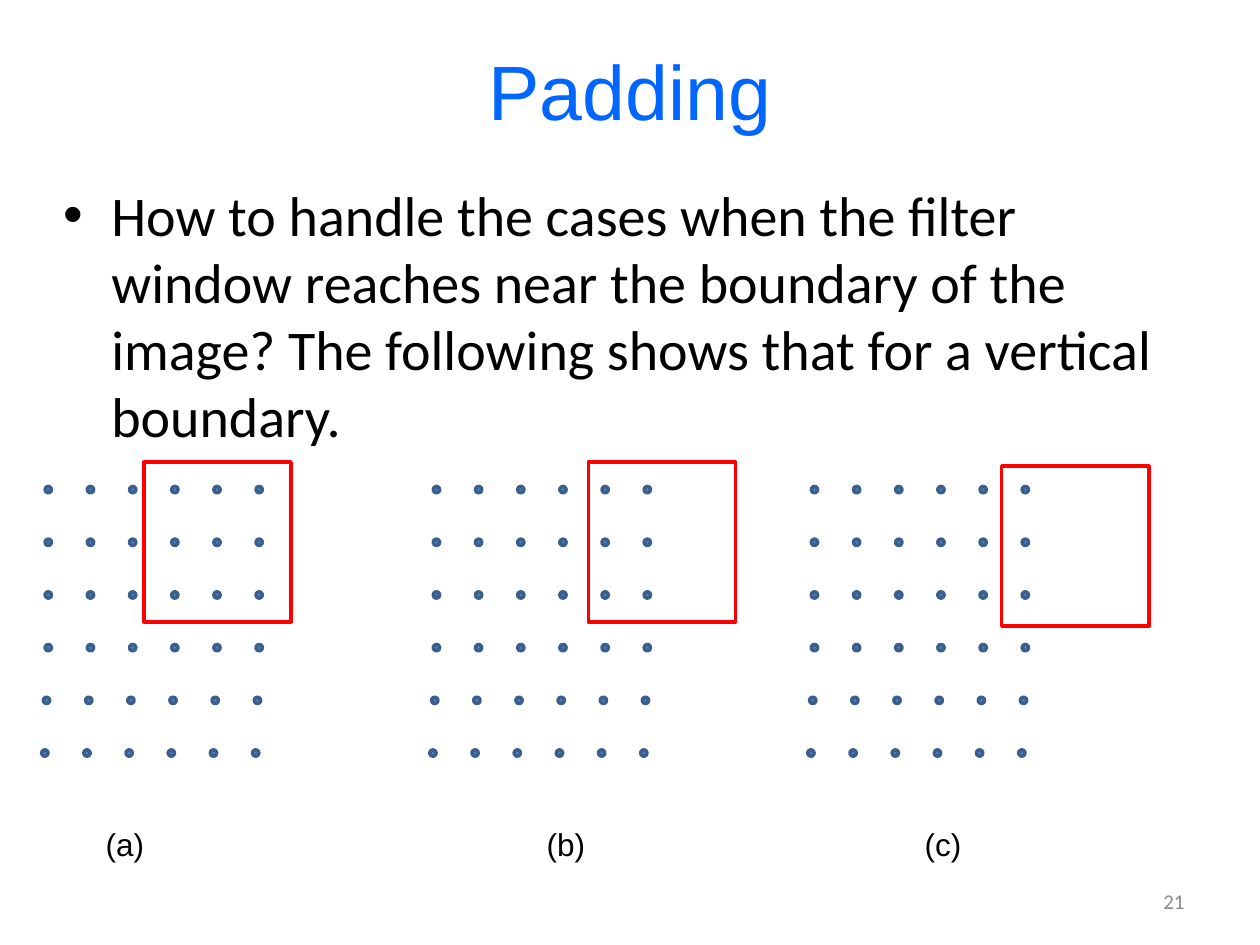
"""Build the slide on padding at a vertical image boundary."""
from lxml.etree import SubElement
from pptx import Presentation
from pptx.dml.color import RGBColor
from pptx.enum.shapes import MSO_SHAPE as Shape
from pptx.enum.text import MSO_ANCHOR as Anchor, MSO_AUTO_SIZE as AutoSize, PP_ALIGN as Align
from pptx.oxml.ns import qn
from pptx.util import Pt

BLACK = RGBColor(0x00, 0x00, 0x00)
TITLE_BLUE = RGBColor(0x00, 0x66, 0xFF)
GRAY = RGBColor(0x89, 0x89, 0x89)
DOT_FILL = RGBColor(0x4F, 0x81, 0xBD)
DOT_LINE = RGBColor(0x3A, 0x5F, 0x8C)
RED = RGBColor(0xFF, 0x00, 0x00)

deck = Presentation()
deck.slide_width, deck.slide_height = Pt(720), Pt(540)
page = deck.slides.add_slide(deck.slide_layouts[6])


def add_text(text, place, size, font, color, align=Align.LEFT, anchor=Anchor.TOP):
    box = page.shapes.add_textbox(*map(Pt, place))
    frame = box.text_frame
    frame.text = text
    frame.word_wrap = True
    frame.vertical_anchor = anchor
    para = frame.paragraphs[0]
    para.alignment = align
    span = para.runs[0]
    span.font.size = Pt(size)
    span.font.name = font
    span.font.color.rgb = color
    return box


def add_outlined(kind, place, line_color):
    shape = page.shapes.add_shape(kind, *map(Pt, place))
    shape.shadow.inherit = False
    shape.fill.background()
    shape.line.color.rgb = line_color
    shape.line.width = Pt(2)
    return shape


add_text("Padding", (36, 6, 648, 90), 44, "Arial", TITLE_BLUE, Align.CENTER, Anchor.MIDDLE)

body = add_text(
    "How to handle the cases when the filter window reaches near the boundary "
    "of the image? The following shows that for a vertical boundary.",
    (29.5, 99.5, 648, 408), 32, "Calibri", BLACK)
bullet = body.text_frame.paragraphs[0]._p.get_or_add_pPr()
bullet.set("marL", str(Pt(27)))
bullet.set("indent", str(Pt(-27)))
SubElement(bullet, qn("a:buFont")).set("typeface", "Arial")
SubElement(bullet, qn("a:buChar")).set("char", "•")

add_text("21", (516, 500.5, 168, 28.8), 12, "Calibri", GRAY, Align.RIGHT, Anchor.MIDDLE)

DOT_SIZE = 3.6
DOT_TOP = 278
COLUMN_STEP, ROW_STEP = 24.1, 30.1
COLUMNS = 6
ROW_SHIFTS = (0, 0, 0, 0, -1, -2)
PANELS = [
    ("(a)", 25.8, (82.2, 264), 53.3),
    ("(b)", 247.6, (336.2, 264), 305.3),
    ("(c)", 463.6, (572.4, 266.4), 521.3),
]

for label, left, window, label_left in PANELS:
    for column in range(COLUMNS):
        for row, shift in enumerate(ROW_SHIFTS):
            x = left + column * COLUMN_STEP + shift
            y = DOT_TOP + row * ROW_STEP
            dot = add_outlined(Shape.OVAL, (x, y, DOT_SIZE, DOT_SIZE), DOT_LINE)
            dot.fill.solid()
            dot.fill.fore_color.rgb = DOT_FILL
    add_outlined(Shape.RECTANGLE, (*window, 84.2, 91.4), RED)
    caption = add_text(label, (label_left, 468, 36.5, 29), 18, "Arial", BLACK)
    caption.text_frame.word_wrap = False
    caption.text_frame.auto_size = AutoSize.SHAPE_TO_FIT_TEXT

deck.save("out.pptx")
